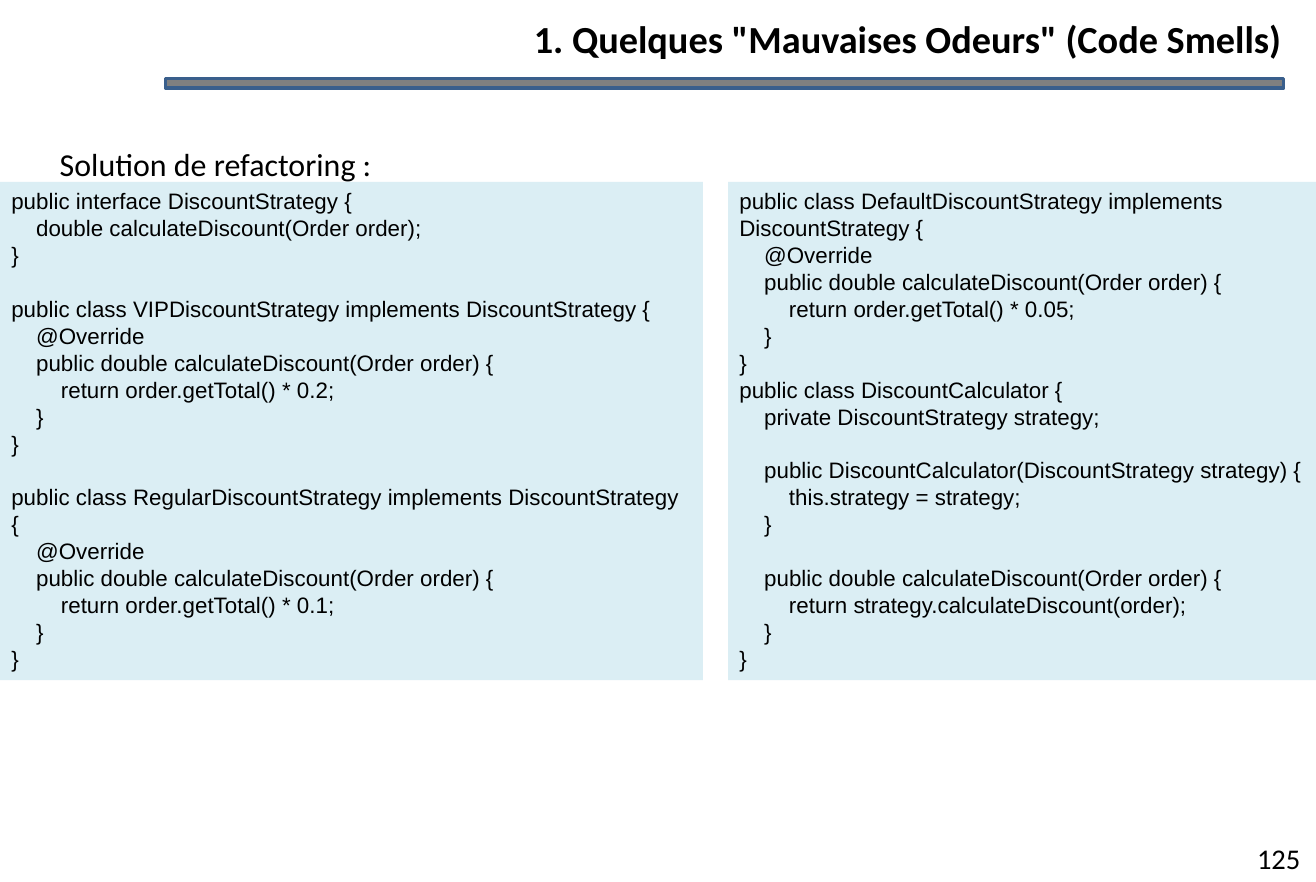
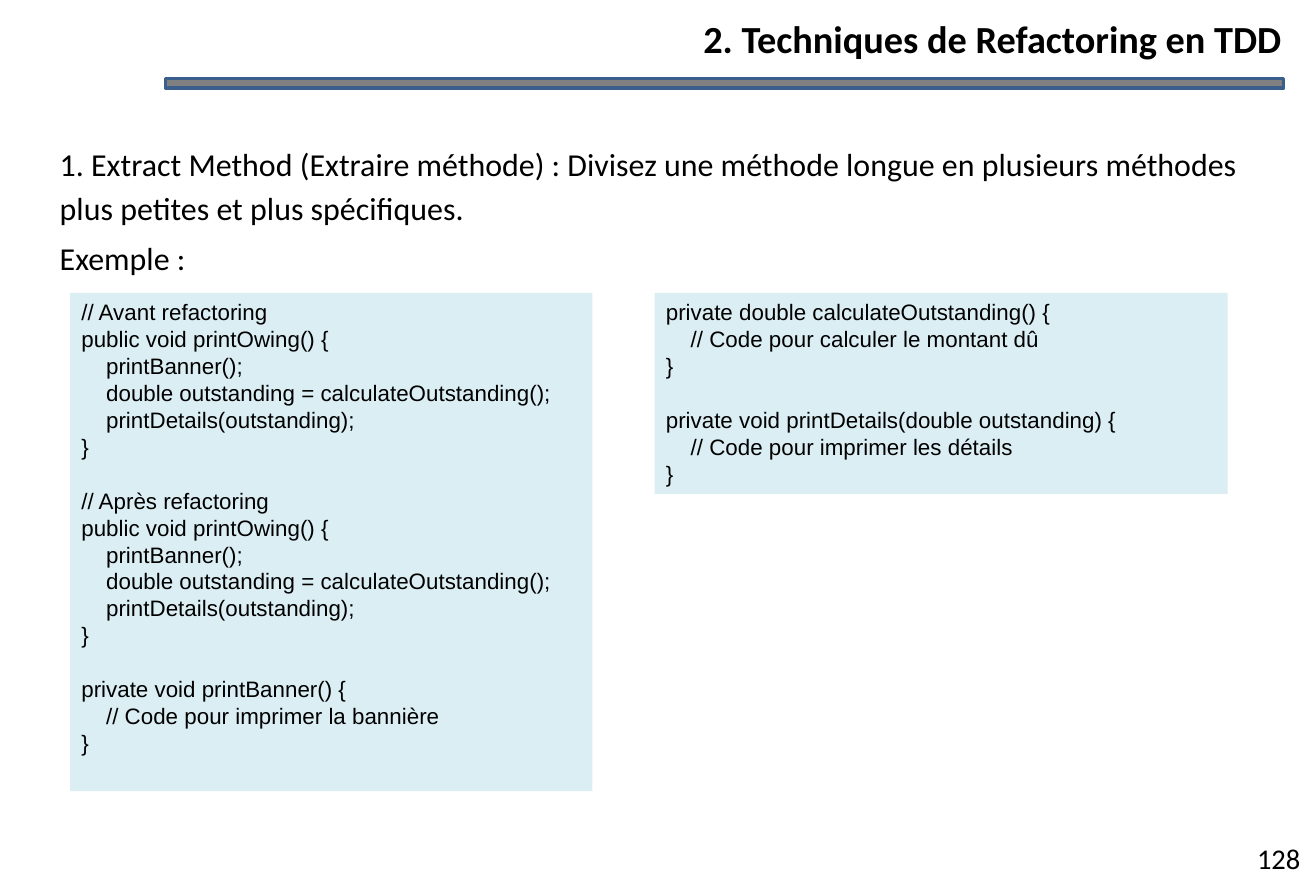
from pptx import Presentation
from pptx.dml.color import RGBColor
from pptx.enum import shapes, text
from pptx.util import Pt

SLIDE_WIDTH, SLIDE_HEIGHT = 825.12, 552.96
BLACK = RGBColor(0x00, 0x00, 0x00)
WHITE = RGBColor(0xFF, 0xFF, 0xFF)
RULE_GREY = RGBColor(0x80, 0x80, 0x80)
RULE_BLUE = RGBColor(0x3A, 0x5F, 0x8C)
CODE_BLUE = RGBColor(0xDB, 0xEE, 0xF4)
CODE_LINE = 16.86

INTERFACE_CODE = """\
public interface DiscountStrategy {
    double calculateDiscount(Order order);
}

public class VIPDiscountStrategy implements DiscountStrategy {
    @Override
    public double calculateDiscount(Order order) {
        return order.getTotal() * 0.2;
    }
}

public class RegularDiscountStrategy implements DiscountStrategy {
    @Override
    public double calculateDiscount(Order order) {
        return order.getTotal() * 0.1;
    }
}"""

CALCULATOR_CODE = """\
public class DefaultDiscountStrategy implements DiscountStrategy {
    @Override
    public double calculateDiscount(Order order) {
        return order.getTotal() * 0.05;
    }
}
public class DiscountCalculator {
    private DiscountStrategy strategy;

    public DiscountCalculator(DiscountStrategy strategy) {
        this.strategy = strategy;
    }

    public double calculateDiscount(Order order) {
        return strategy.calculateDiscount(order);
    }
}"""

OWING_CODE = """\
// Avant refactoring
public void printOwing() {
    printBanner();
    double outstanding = calculateOutstanding();
    printDetails(outstanding);
}

// Après refactoring
public void printOwing() {
    printBanner();
    double outstanding = calculateOutstanding();
    printDetails(outstanding);
}

private void printBanner() {
    // Code pour imprimer la bannière
}"""

DETAILS_CODE = """\
private double calculateOutstanding() {
    // Code pour calculer le montant dû
}

private void printDetails(double outstanding) {
    // Code pour imprimer les détails
}"""


def add_rectangle(slide, box, fill):
    shape = slide.shapes.add_shape(shapes.MSO_SHAPE.RECTANGLE, *map(Pt, box))
    shape.shadow.inherit = False
    shape.fill.solid()
    shape.fill.fore_color.rgb = fill
    shape.line.fill.background()
    return shape


def write_lines(shape, lines, size, font="Calibri", bold=False,
                align=text.PP_ALIGN.LEFT):
    """Write one paragraph per line and return the paragraphs."""
    frame = shape.text_frame
    frame.word_wrap = True
    frame.vertical_anchor = text.MSO_ANCHOR.TOP
    frame.text = "\n".join(lines)
    for paragraph in frame.paragraphs:
        paragraph.alignment = align
        paragraph.font.name = font
        paragraph.font.size = Pt(size)
        paragraph.font.bold = bold
        paragraph.font.color.rgb = BLACK
    return frame.paragraphs


def add_text(slide, box, lines, size, **style):
    shape = slide.shapes.add_textbox(*map(Pt, box))
    write_lines(shape, lines, size, **style)
    return shape


def add_title(slide, title):
    shape = add_text(slide, (140.4, 9.36, 663.12, 28.8), [title], 24,
                     bold=True, align=text.PP_ALIGN.RIGHT)
    frame = shape.text_frame
    frame.margin_left = frame.margin_right = 0
    frame.margin_top = frame.margin_bottom = 0


def add_title_rule(slide):
    rule = add_rectangle(slide, (103.68, 49.4, 701.28, 5.76), RULE_GREY)
    rule.line.color.rgb = RULE_BLUE
    rule.line.width = Pt(2)


def add_body(slide, box, lines):
    shape = add_text(slide, box, lines, 20)
    shape.text_frame.margin_left = Pt(21.6)
    for index, paragraph in enumerate(shape.text_frame.paragraphs):
        paragraph.line_spacing = 1.15
        if index:
            paragraph.space_before = Pt(4)


def add_code(slide, box, code):
    """Place a code panel; a blank line of code becomes space before the next."""
    shape = add_rectangle(slide, box, CODE_BLUE)
    blocks = [block.split("\n") for block in code.split("\n\n")]
    lines = [line for block in blocks for line in block]
    paragraphs = write_lines(shape, lines, 14, font="Arial")
    for paragraph in paragraphs:
        paragraph.line_spacing = Pt(CODE_LINE)
    start = 0
    for block in blocks[:-1]:
        start += len(block)
        paragraphs[start].space_before = Pt(CODE_LINE)


def add_code_slide(presentation, title, number, body, body_height, panels):
    """Build a slide from its title, page number, body lines and code panels."""
    slide = presentation.slides.add_slide(presentation.slide_layouts[6])
    slide.background.fill.solid()
    slide.background.fill.fore_color.rgb = WHITE
    add_title_rule(slide)
    add_title(slide, title)
    add_text(slide, (778.32, 523.44, 46.8, 29.52), [number], 17.9,
             align=text.PP_ALIGN.CENTER)
    add_body(slide, (15.84, 83.52, 793.44, body_height), body)
    for box, code in panels:
        add_code(slide, box, code)


def main():
    presentation = Presentation()
    presentation.slide_width = Pt(SLIDE_WIDTH)
    presentation.slide_height = Pt(SLIDE_HEIGHT)

    right = 456.5
    add_code_slide(
        presentation, '1. Quelques "Mauvaises Odeurs" (Code Smells)', "125",
        ["Solution de refactoring :"], 33.12,
        [((0, 114, 440.64, 312.48), INTERFACE_CODE),
         ((right, 114, SLIDE_WIDTH - right, 312.48), CALCULATOR_CODE)])
    add_code_slide(
        presentation, "2. Techniques de Refactoring en TDD", "128",
        ["1. Extract Method (Extraire méthode) : Divisez une méthode longue "
         "en plusieurs méthodes plus petites et plus spécifiques.",
         "Exemple :"], 93.6,
        [((43.9, 183.6, 327.6, 312.48), OWING_CODE),
         ((410.4, 183.6, 359.28, 126), DETAILS_CODE)])

    presentation.save("out.pptx")


if __name__ == "__main__":
    main()
